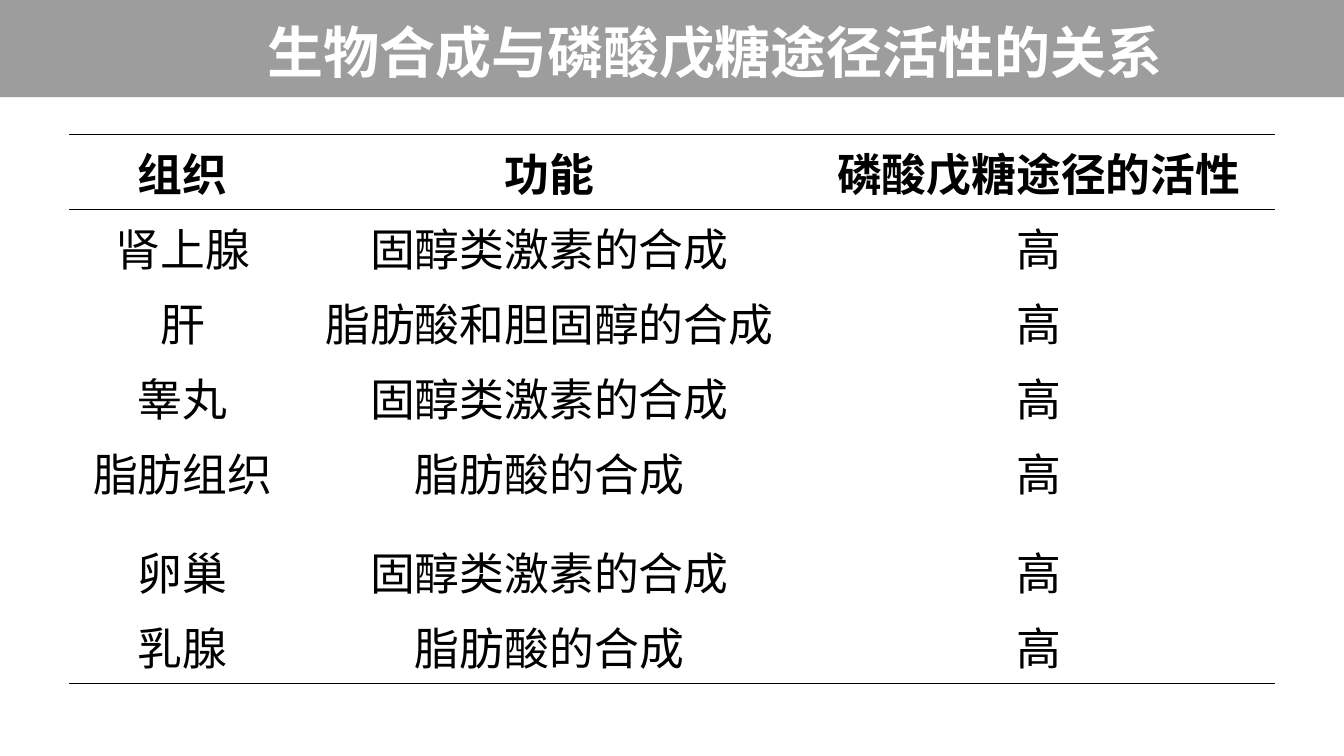
"""Build a slide relating biosynthesis to pentose phosphate pathway activity."""
from lxml import etree
from pptx import Presentation
from pptx.dml.color import RGBColor
from pptx.enum.shapes import MSO_SHAPE
from pptx.enum.text import MSO_ANCHOR, PP_ALIGN
from pptx.oxml.ns import qn
from pptx.util import Pt

RECTANGLE = MSO_SHAPE.RECTANGLE
MIDDLE = MSO_ANCHOR.MIDDLE
LEFT, CENTER = PP_ALIGN.LEFT, PP_ALIGN.CENTER
BANNER_GRAY = RGBColor(0x26, 0x26, 0x26)
WHITE = RGBColor(0xFF, 0xFF, 0xFF)
BLACK = RGBColor(0x00, 0x00, 0x00)

TITLE_FORMAT = {"name": "Arial Narrow", "size": Pt(40), "bold": True}
HEADER_FORMAT = {"name": "Times New Roman", "size": Pt(32), "bold": True}
BODY_FORMAT = {**HEADER_FORMAT, "bold": False}

ROWS = [
    ("组织", "功能", "磷酸戊糖途径的活性"),
    ("肾上腺", "固醇类激素的合成", "高"),
    ("肝", "脂肪酸和胆固醇的合成", "高"),
    ("睾丸", "固醇类激素的合成", "高"),
    ("脂肪组织", "脂肪酸的合成", "高"),
    ("卵巢", "固醇类激素的合成", "高"),
    ("乳腺", "脂肪酸的合成", "高"),
]
COLUMN_WIDTHS = (162.5, 361.5, 337.7)
ROW_HEIGHT = 53.7
TALL_ROW, TALL_ROW_HEIGHT = 4, 70.5
LAST_ROW = len(ROWS) - 1
TABLE_HEIGHT = LAST_ROW * ROW_HEIGHT + TALL_ROW_HEIGHT
RULED_EDGES = {"lnT": (0, 1), "lnB": (0, LAST_ROW)}


def write_text(paragraph, text, alignment, color, font_format):
    paragraph.text = text
    paragraph.alignment = alignment
    font = paragraph.runs[0].font
    for attribute, value in font_format.items():
        setattr(font, attribute, value)
    font.color.rgb = color


def add_borders(cell, row_index):
    properties = cell._tc.get_or_add_tcPr()
    for edge in ("lnL", "lnR", "lnT", "lnB"):
        line = etree.SubElement(properties, qn(f"a:{edge}"), w=str(Pt(1)))
        if row_index in RULED_EDGES.get(edge, ()):
            fill = etree.SubElement(line, qn("a:solidFill"))
            etree.SubElement(fill, qn("a:srgbClr"), val=str(BLACK))
        else:
            etree.SubElement(line, qn("a:noFill"))


presentation = Presentation()
presentation.slide_width = Pt(960)
presentation.slide_height = Pt(540)
slide = presentation.slides.add_slide(presentation.slide_layouts[6])

banner = slide.shapes.add_shape(RECTANGLE, Pt(-0.5), Pt(0), Pt(961), Pt(69.5))
banner.shadow.inherit = False
banner.fill.solid()
banner.fill.fore_color.rgb = BANNER_GRAY
banner.line.fill.background()
banner_color = banner._element.spPr.find(qn("a:solidFill")).find(qn("a:srgbClr"))
etree.SubElement(banner_color, qn("a:alpha"), val="45000")

title = slide.shapes.add_textbox(Pt(184), Pt(-7.5), Pt(714), Pt(94.3))
title.text_frame.word_wrap = True
title.text_frame.vertical_anchor = MIDDLE
title_paragraph = title.text_frame.paragraphs[0]
write_text(title_paragraph, "生物合成与磷酸戊糖途径活性的关系", LEFT, WHITE, TITLE_FORMAT)
title_paragraph.line_spacing = 0.9

table = slide.shapes.add_table(
    len(ROWS), len(COLUMN_WIDTHS), Pt(49.3), Pt(95.8), Pt(sum(COLUMN_WIDTHS)), Pt(TABLE_HEIGHT)
).table
table.first_row = False
table.horz_banding = False
for column, width in zip(table.columns, COLUMN_WIDTHS):
    column.width = Pt(width)
for row_index, texts in enumerate(ROWS):
    row = table.rows[row_index]
    row.height = Pt(TALL_ROW_HEIGHT if row_index == TALL_ROW else ROW_HEIGHT)
    font_format = BODY_FORMAT if row_index else HEADER_FORMAT
    for cell, text in zip(row.cells, texts):
        add_borders(cell, row_index)
        cell.fill.background()
        write_text(cell.text_frame.paragraphs[0], text, CENTER, BLACK, font_format)

presentation.save("out.pptx")
